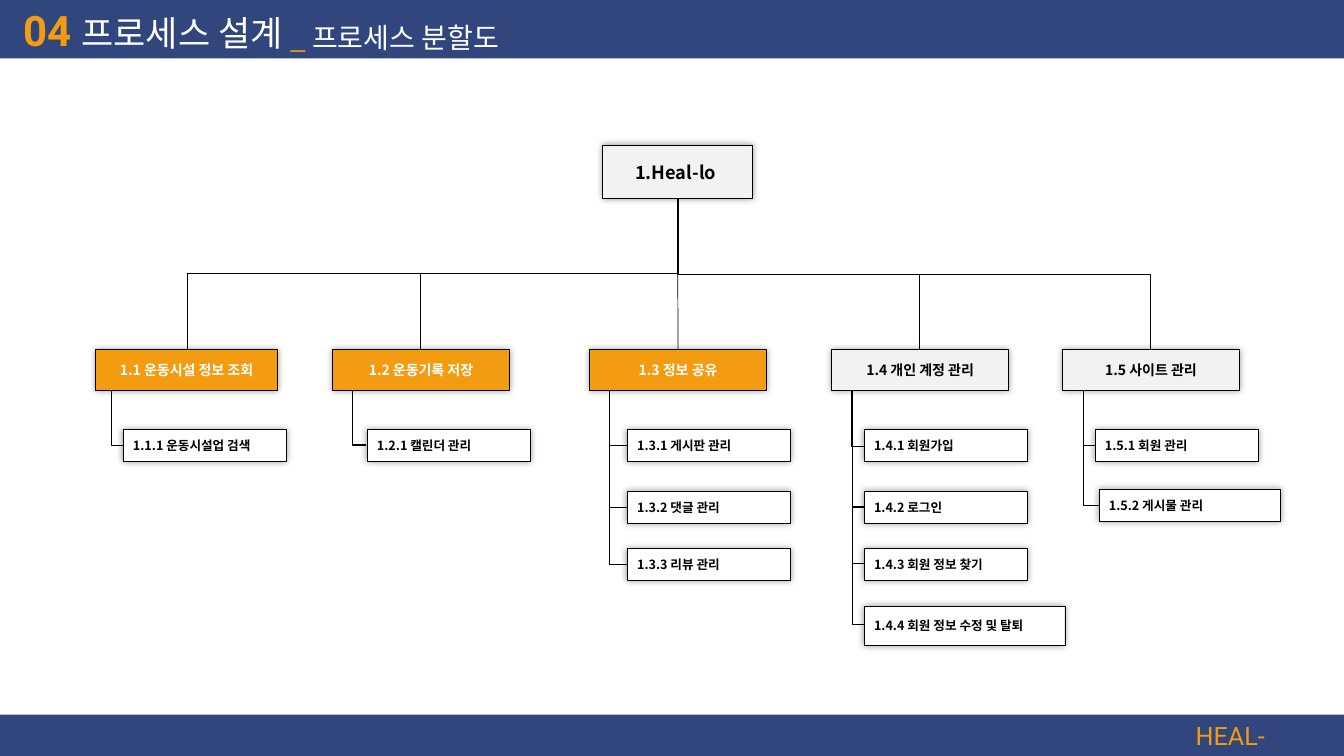
from lxml import etree
from pptx import Presentation
from pptx import util as u
from pptx.dml.color import RGBColor
from pptx.enum import shapes, text
from pptx.oxml import ns

NAVY = RGBColor(0x30, 0x46, 0x7C)
GOLD = RGBColor(0xF3, 0x9C, 0x11)
PALE = RGBColor(0xF2, 0xF2, 0xF2)
WHITE = RGBColor(0xFF, 0xFF, 0xFF)
BLACK = RGBColor(0, 0, 0)
SANS = "Noto Sans CJK KR"
ROBO = "Roboto"
PX = 9144

ROOT_BOX = (598, 144, 148, 53)
BRANCH_TOP, BRANCH_TALL = 347, 40
STEM_TOP = 385
BRANCHES = [
    ("1.1 운동시설 정보 조회", 95, 180, GOLD, WHITE, 111,
     [("1.1.1 운동시설업 검색", (122, 426, 162, 32))]),
    ("1.2 운동기록 저장", 330, 175, GOLD, WHITE, 350,
     [("1.2.1 캘린더 관리", (364, 426, 162, 32))]),
    ("1.3 정보 공유", 585, 175, GOLD, WHITE, 605,
     [("1.3.1 게시판 관리", (622, 426, 162, 32)),
      ("1.3.2 댓글 관리", (622, 487, 162, 32)),
      ("1.3.3 리뷰 관리", (622, 544, 162, 32))]),
    ("1.4 개인 계정 관리", 825, 175, PALE, BLACK, 845,
     [("1.4.1 회원가입", (857, 426, 162, 32)),
      ("1.4.2 로그인", (857, 487, 162, 32)),
      ("1.4.3 회원 정보 찾기", (857, 544, 162, 32)),
      ("1.4.4 회원 정보 수정 및 탈퇴", (857, 601, 199, 39))]),
    ("1.5 사이트 관리", 1054, 175, PALE, BLACK, 1075,
     [("1.5.1 회원 관리", (1086, 426, 162, 32)),
      ("1.5.2 게시물 관리", (1090, 485, 180, 32))]),
]


def put(item, vals):
    for key, val in vals.items():
        setattr(item, key, val)


class Deck:
    """Draws styled elements on the current slide."""

    def __init__(self, wide, tall):
        self.prs = Presentation()
        put(self.prs, {"slide_width": u.Emu(wide * PX), "slide_height": u.Emu(tall * PX)})
        self.slide = self.prs.slides.add_slide(self.prs.slide_layouts[5])
        fill = self.slide.background.fill
        fill.solid()
        fill.fore_color.rgb = NAVY

    def size(self, *nums):
        return [u.Emu(n * PX) for n in nums]

    def words(self, shape, runs, size, face=SANS, bold=False,
              align=text.PP_ALIGN.LEFT, anchor=text.MSO_ANCHOR.TOP):
        frame = shape.text_frame
        put(frame, {"word_wrap": True, "auto_size": text.MSO_AUTO_SIZE.NONE,
                    "vertical_anchor": anchor})
        para = frame.paragraphs[0]
        para.alignment = align
        for name, color in runs:
            run = para.add_run()
            run.text = name
            put(run.font, {"size": u.Pt(size), "bold": bold, "name": face})
            run.font.color.rgb = color
            etree.SubElement(run._r.get_or_add_rPr(), ns.qn("a:ea"), typeface=face)

    def title(self, box, name, size):
        shape = self.slide.shapes.title
        put(shape, dict(zip(("left", "top", "width", "height"), self.size(*box))))
        self.words(shape, [(name, WHITE)], size)

    def label(self, box, runs, size, **style):
        self.words(self.slide.shapes.add_textbox(*self.size(*box)), runs, size, **style)

    def rect(self, box, color):
        shape = self.slide.shapes.add_shape(shapes.MSO_SHAPE.RECTANGLE, *self.size(*box))
        shape.shadow.inherit = False
        shape.fill.solid()
        shape.fill.fore_color.rgb = color
        shape.line.fill.background()
        return shape

    def node(self, box, name, size, fill, color=BLACK, line=0.75,
             align=text.PP_ALIGN.CENTER):
        shape = self.rect(box, fill)
        shape.line.color.rgb = BLACK
        shape.line.width = u.Pt(line)
        glow = etree.SubElement(
            shape._element.spPr.find(ns.qn("a:effectLst")), ns.qn("a:outerShdw"),
            blurRad=str(u.Pt(5)), dist="0", dir="0", algn="ctr", rotWithShape="0")
        tint = etree.SubElement(glow, ns.qn("a:srgbClr"), val="000000")
        etree.SubElement(tint, ns.qn("a:alpha"), val="40000")
        self.words(shape, [(name, color)], size, bold=True, align=align,
                   anchor=text.MSO_ANCHOR.MIDDLE)
        return shape

    def link(self, kind, ends, width):
        wire = self.slide.shapes.add_connector(kind, *self.size(*ends))
        wire.line.color.rgb = BLACK
        wire.line.width = u.Pt(width)
        etree.SubElement(wire._element.spPr, ns.qn("a:effectLst"))
        return wire

    def elbow(self, x, y, to_x, to_y, preset):
        long, wide = to_y - y, abs(to_x - x)
        left = round((x + to_x - long) / 2)
        top = round((y + to_y - wide) / 2)
        right = left + long
        ends = (left, right) if to_x < x else (right, left)
        wire = self.link(shapes.MSO_CONNECTOR.ELBOW,
                         (ends[0], top, ends[1], top + wide), 0.75)
        prop = wire._element.spPr
        prop.find(ns.qn("a:xfrm")).set("rot", "5400000" if to_x < x else "16200000")
        prop.find(ns.qn("a:prstGeom")).set("prst", preset)

    def join(self, upper, lower):
        wire = self.link(shapes.MSO_CONNECTOR.STRAIGHT, (0, 0, 1, 1), 0.5)
        wire.begin_connect(upper, 2)
        wire.end_connect(lower, 0)


def main():
    deck = Deck(1333, 750)
    deck.rect((0, 58, 1333, 651), WHITE)
    deck.title((71, 6, 276, 52), "프로세스 설계", 25)
    deck.label((13, 0, 82, 61), [("04", GOLD)], 30, face=ROBO, bold=True)
    deck.label((278, 15, 273, 44), [("_ ", GOLD), ("프로세스 분할도", WHITE)], 20)
    deck.label((1176, 710, 112, 40), [("HEAL-LO", GOLD)], 18, face=ROBO)

    root = deck.node(ROOT_BOX, "1.Heal-lo", 13, PALE)
    put(root.text_frame, {"margin_left": u.Emu(6 * PX), "margin_right": u.Emu(10 * PX)})
    left, top, wide, tall = ROOT_BOX
    hub, base = left + wide // 2, top + tall
    for name, x, span, fill, color, stem, leaves in BRANCHES:
        mid = x + span // 2
        if mid != hub:
            deck.elbow(hub, base, mid, BRANCH_TOP, "bentConnector3")
        for leaf, box in leaves:
            deck.node(box, leaf, 9, WHITE, line=0.25, align=text.PP_ALIGN.LEFT)
            deck.elbow(stem, STEM_TOP, box[0], box[1] + box[3] // 2, "bentConnector2")
        branch = deck.node((x, BRANCH_TOP, span, BRANCH_TALL), name, 10, fill, color)
        if mid == hub:
            deck.join(root, branch)
    deck.prs.save("out.pptx")


if __name__ == "__main__":
    main()
